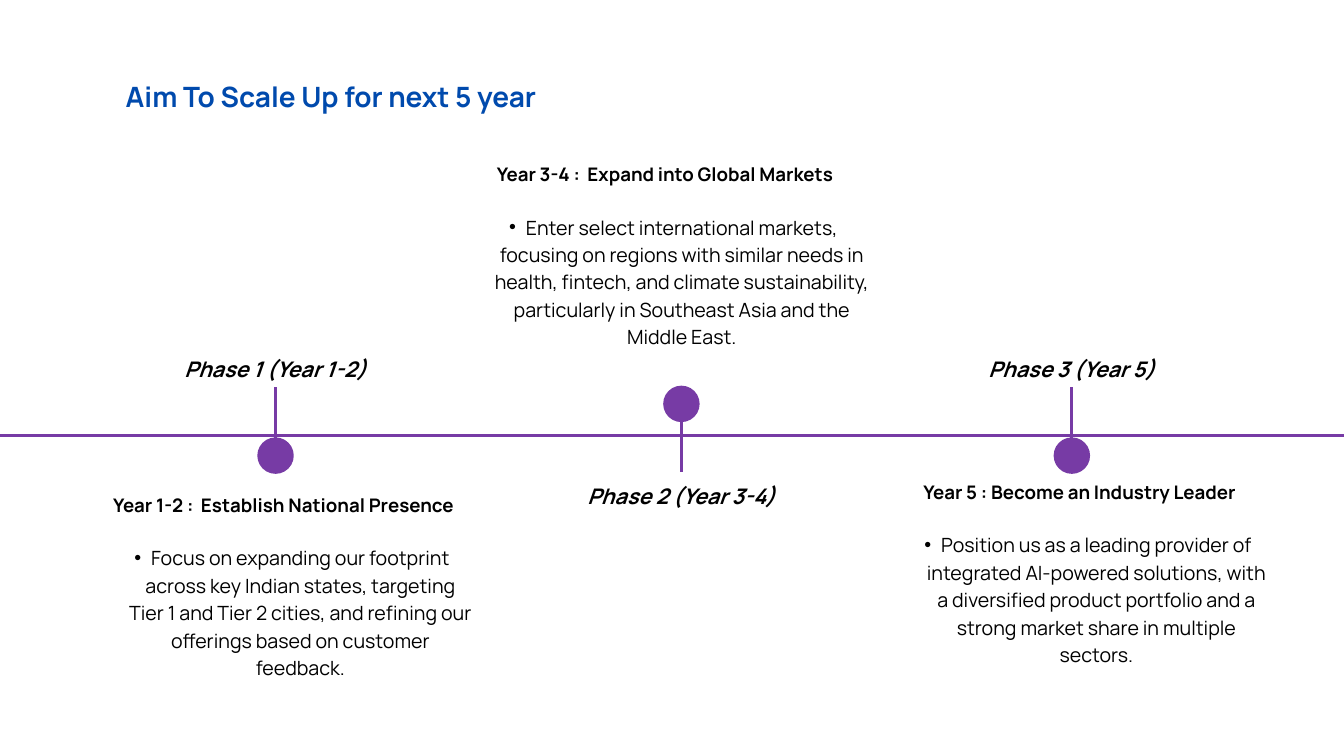
from dataclasses import dataclass

from lxml.etree import SubElement
from pptx import Presentation
from pptx.dml.color import RGBColor
from pptx.enum.shapes import MSO_CONNECTOR, MSO_SHAPE
from pptx.enum.text import MSO_ANCHOR, MSO_AUTO_SIZE, PP_ALIGN
from pptx.oxml.ns import qn
from pptx.util import Inches, Pt


@dataclass(frozen=True)
class Theme:
    font: str = "Manrope"
    blue: str = "004AAD"
    purple: str = "773BA5"
    black: str = "000000"
    title: float = 30
    label: float = 23
    head: float = 20
    body: float = 21


@dataclass(frozen=True)
class Phase:
    label: str
    head: str
    body: str
    x: float  # centre of the stem
    box: tuple[float, float, float, float]
    up: bool  # details above the axis


THEME = Theme()
AXIS = 6.48
DOT = 0.49

PHASES = [
    Phase("Phase 1 (Year 1-2)", "Year 1-2 :  Establish National Presence",
          "Focus on expanding our footprint across key Indian states, targeting "
          "Tier 1 and Tier 2 cities, and refining our offerings based on customer "
          "feedback.", 4.1, (1.42, 7.29, 5.6, 2.82), False),
    Phase("Phase 2 (Year 3-4)", "Year 3-4 :  Expand into Global Markets",
          "Enter select international markets, focusing on regions with similar "
          "needs in health, fintech, and climate sustainability, particularly in "
          "Southeast Asia and the Middle East.", 10.14, (6.84, 2.37, 6.11, 3.22), True),
    Phase("Phase 3 (Year 5)", "Year 5 : Become an Industry Leader",
          "Position us as a leading provider of integrated AI-powered solutions, "
          "with a diversified product portfolio and a strong market share in "
          "multiple sectors.", 15.95, (13.26, 7.1, 5.61, 2.82), False),
]


def place(shape, left: float, top: float, width: float, height: float):
    """Move a text shape and return its cleared frame."""
    shape.left, shape.top = Inches(left), Inches(top)
    shape.width, shape.height = Inches(width), Inches(height)
    frame = shape.text_frame
    frame.word_wrap = True
    frame.auto_size = MSO_AUTO_SIZE.NONE
    frame.vertical_anchor = MSO_ANCHOR.TOP
    frame.margin_left = frame.margin_right = 0
    frame.margin_top = frame.margin_bottom = 0
    return frame


def write(para, text: str, *, size: float, line: float, color: str = THEME.black,
          bold: bool = False, italic: bool = False, before: float = 0,
          align=PP_ALIGN.CENTER, bullet: bool = False) -> None:
    props = para._p.get_or_add_pPr()
    props.set("marL", str(Inches(0.5 if bullet else 0)))
    props.set("indent", str(Inches(-0.25 if bullet else 0)))
    if bullet:
        SubElement(props, qn("a:buFont"), typeface="Arial")
        SubElement(props, qn("a:buChar"), char="•")
        para.level = 1
    else:
        SubElement(props, qn("a:buNone"))
    para.alignment = align
    para.line_spacing = Pt(line)
    para.space_before, para.space_after = Pt(before), Pt(0)
    run = para.add_run()
    run.text = text
    font = run.font
    font.name, font.size = THEME.font, Pt(size)
    font.bold, font.italic = bold, italic
    font.color.rgb = RGBColor.from_string(color)


def rule(slide, x1: float, y1: float, x2: float, y2: float) -> None:
    line = slide.shapes.add_connector(
        MSO_CONNECTOR.STRAIGHT, Inches(x1), Inches(y1), Inches(x2), Inches(y2))
    line.line.color.rgb = RGBColor.from_string(THEME.purple)
    line.line.width = Pt(3)
    SubElement(line._element.spPr, qn("a:effectLst"))


def mark(slide, phase: Phase) -> None:
    """Draw the dot, stem and label of one phase."""
    dot_y, end_y = (6.01, 7.03) if phase.up else (6.78, 5.76)
    rule(slide, phase.x, dot_y, phase.x, end_y)
    dot = slide.shapes.add_shape(
        MSO_SHAPE.OVAL, Inches(phase.x - DOT / 2), Inches(dot_y - DOT / 2),
        Inches(DOT), Inches(DOT))
    dot.shadow.inherit = False
    dot.fill.solid()
    dot.fill.fore_color.rgb = RGBColor.from_string(THEME.purple)
    dot.line.color.rgb = RGBColor.from_string(THEME.purple)
    dot.line.width = Pt(3.75)
    label = slide.shapes.add_textbox(0, 0, 0, 0)
    frame = place(label, phase.x - 1.6, 7.12 if phase.up else 5.24, 3.2, 0.44)
    write(frame.paragraphs[0], phase.label, size=THEME.label, line=32.2,
          bold=True, italic=True)


def detail(holder, phase: Phase) -> None:
    """Fill a body placeholder with a heading and its bullet."""
    frame = place(holder, *phase.box)
    write(frame.paragraphs[0], phase.head, size=THEME.head, line=28, bold=True)
    write(frame.add_paragraph(), phase.body, size=THEME.body, line=29.4,
          before=28, bullet=True)


def main() -> None:
    deck = Presentation()
    deck.slide_width, deck.slide_height = Inches(20), Inches(11.25)
    # The comparison layout offers a title and four bodies
    slide = deck.slides.add_slide(deck.slide_layouts[4])

    # Title
    frame = place(slide.shapes.title, 1.87, 1.13, 6.73, 0.55)
    write(frame.paragraphs[0], "Aim To Scale Up for next 5 year", size=THEME.title,
          line=39.6, color=THEME.blue, bold=True, align=PP_ALIGN.LEFT)

    # Timeline
    bodies = list(slide.placeholders)[1:]
    rule(slide, 0, AXIS, 20, AXIS)
    for holder, phase in zip(bodies, PHASES):
        mark(slide, phase)
        detail(holder, phase)

    # Spare placeholder
    for spare in bodies[len(PHASES):]:
        spare._element.getparent().remove(spare._element)

    deck.save("out.pptx")


if __name__ == "__main__":
    main()
